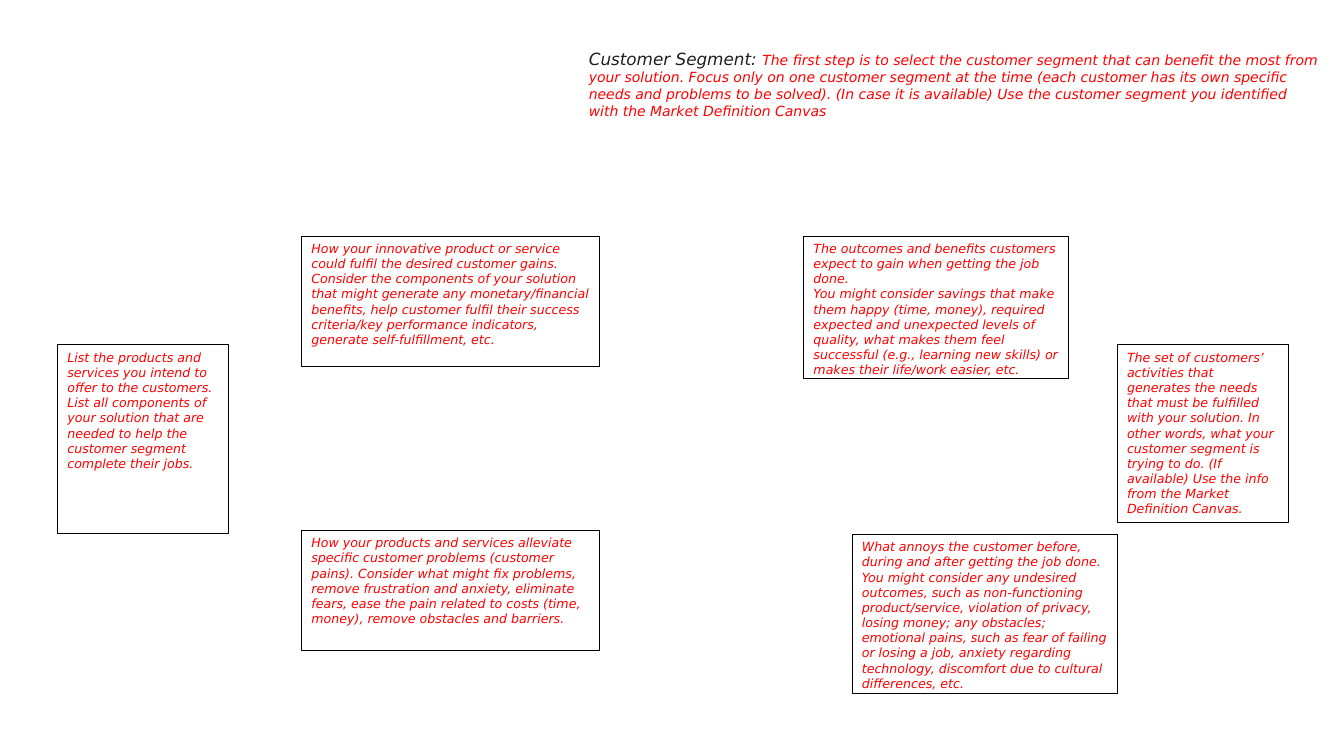
from pptx import Presentation
from pptx.dml.color import RGBColor
from pptx.enum.shapes import MSO_SHAPE
from pptx.enum.text import MSO_ANCHOR, PP_ALIGN
from pptx.util import Inches, Pt

RECT = MSO_SHAPE.RECTANGLE
TOP = MSO_ANCHOR.TOP
LEFT = PP_ALIGN.LEFT

HINT = {"name": "DejaVu Sans", "size": Pt(9), "italic": True}
LEAD = {**HINT, "size": Pt(12)}
BODY = {**HINT, "size": Pt(10)}
FRAME = {"word_wrap": True, "vertical_anchor": TOP}
FLUSH = {"margin_left": 0, "margin_top": 0, "margin_right": 0, "margin_bottom": 0}
RED = "FF0000"
DARK = "231F20"

LEAD_TEXT = "Customer Segment: "
BODY_TEXT = (
    "The first step is to select the customer segment that can benefit the most from "
    "your solution. Focus only on one customer segment at the time (each customer has "
    "its own specific needs and problems to be solved). (In case it is available) Use "
    "the customer segment you identified with the Market Definition Canvas"
)

CARDS = [
    ((2.99, 2.34, 2.95, 1.29), [
        "How your innovative product or service could fulfil the desired customer gains.",
        "Consider the components of your solution that might generate any "
        "monetary/financial benefits, help customer fulfil their success criteria/key "
        "performance indicators, generate self-fulfillment, etc.",
    ]),
    ((0.57, 3.42, 1.7, 1.87), [
        "List the products and services you intend to offer to the customers. List all "
        "components of your solution that are needed to help the customer segment "
        "complete their jobs.",
    ]),
    ((2.99, 5.26, 2.95, 1.19), [
        "How your products and services alleviate specific customer problems (customer "
        "pains). Consider what might fix problems, remove frustration and anxiety, "
        "eliminate fears, ease the pain related to costs (time, money), remove "
        "obstacles and barriers.",
    ]),
    ((7.97, 2.34, 2.63, 1.41), [
        "The outcomes and benefits customers expect to gain when getting the job done.",
        "You might consider savings that make them happy (time, money), required "
        "expected and unexpected levels of quality, what makes them feel successful "
        "(e.g., learning new skills) or makes their life/work easier, etc.",
    ]),
    ((11.08, 3.42, 1.7, 1.76), [
        "The set of customers’ activities that generates the needs that must be "
        "fulfilled with your solution. In other words, what your customer segment is "
        "trying to do. (If available) Use the info from the Market Definition Canvas.",
    ]),
    ((8.45, 5.3, 2.63, 1.58), [
        "What annoys the customer before, during and after getting the job done. You "
        "might consider any undesired outcomes, such as non-functioning "
        "product/service, violation of privacy, losing money; any obstacles; emotional "
        "pains, such as fear of failing or losing a job, anxiety regarding technology, "
        "discomfort due to cultural differences, etc.",
    ]),
]


def color(code):
    return RGBColor.from_string(code)


def style(item, values):
    for key, value in values.items():
        setattr(item, key, value)


def add_run(para, text, values, code):
    run = para.add_run()
    run.text = text
    style(run.font, values)
    run.font.color.rgb = color(code)


def add_card(slide, place, lines):
    card = slide.shapes.add_shape(RECT, *map(Inches, place))
    card.shadow.inherit = False
    card.fill.solid()
    card.fill.fore_color.rgb = color("FFFFFF")
    card.line.color.rgb = color("000000")
    card.line.width = Pt(0.5)
    frame = card.text_frame
    style(frame, FRAME)
    for index, text in enumerate(lines):
        para = frame.add_paragraph() if index else frame.paragraphs[0]
        para.alignment = LEFT
        add_run(para, text, HINT, RED)


def add_header(slide, place, indent):
    box = slide.shapes.add_textbox(*map(Inches, place))
    style(box.text_frame, {**FRAME, **FLUSH})
    para = box.text_frame.paragraphs[0]
    para._p.get_or_add_pPr().set("marL", str(Inches(indent)))
    add_run(para, LEAD_TEXT, LEAD, DARK)
    add_run(para, BODY_TEXT, BODY, RED)


def main():
    deck = Presentation()
    style(deck, {"slide_width": Inches(13.33), "slide_height": Inches(7.5)})
    slide = deck.slides.add_slide(deck.slide_layouts[6])
    for place, lines in CARDS:
        add_card(slide, place, lines)
    add_header(slide, (5.74, 0.48, 7.34, 0.77), 0.1)
    deck.save("out.pptx")


if __name__ == "__main__":
    main()
